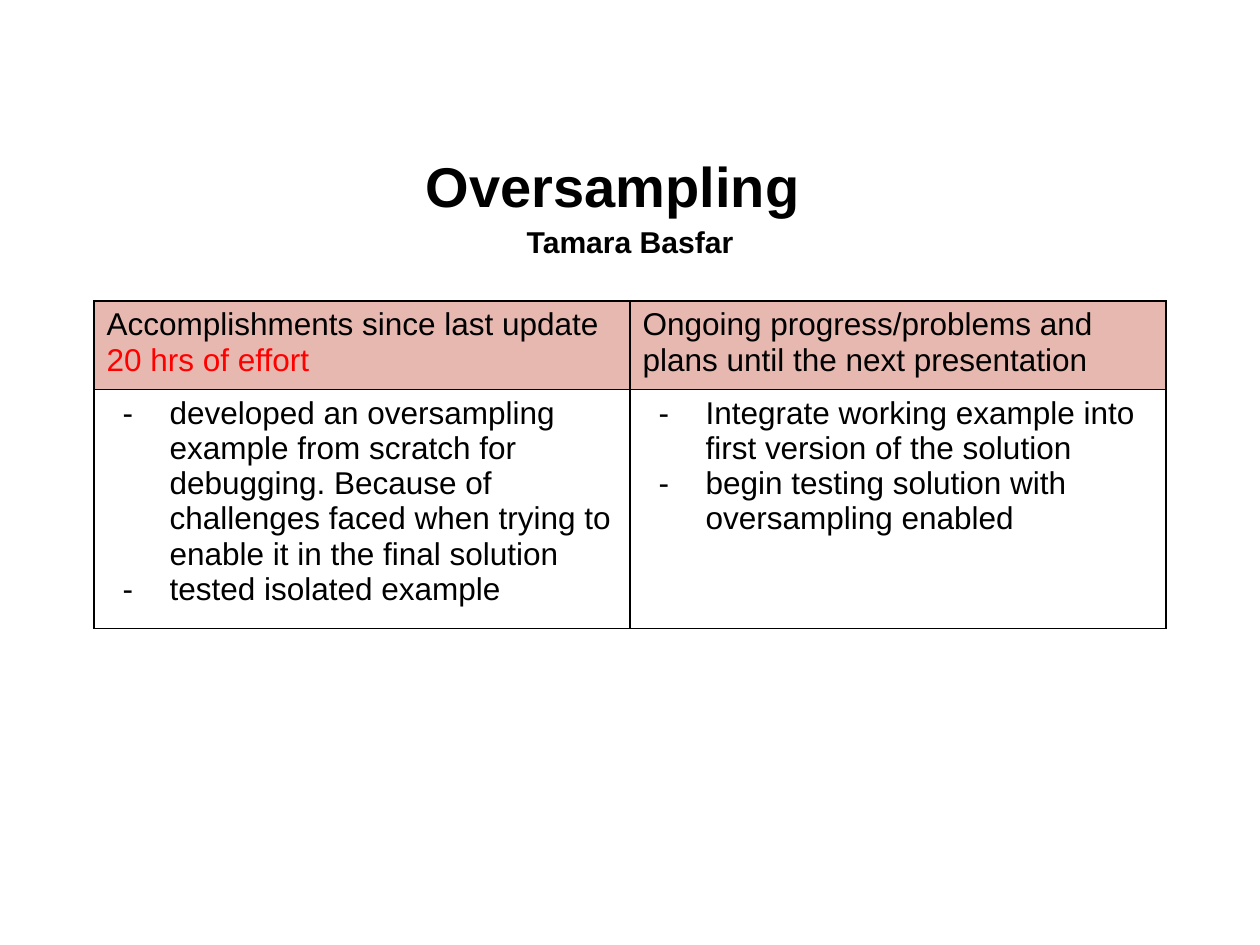
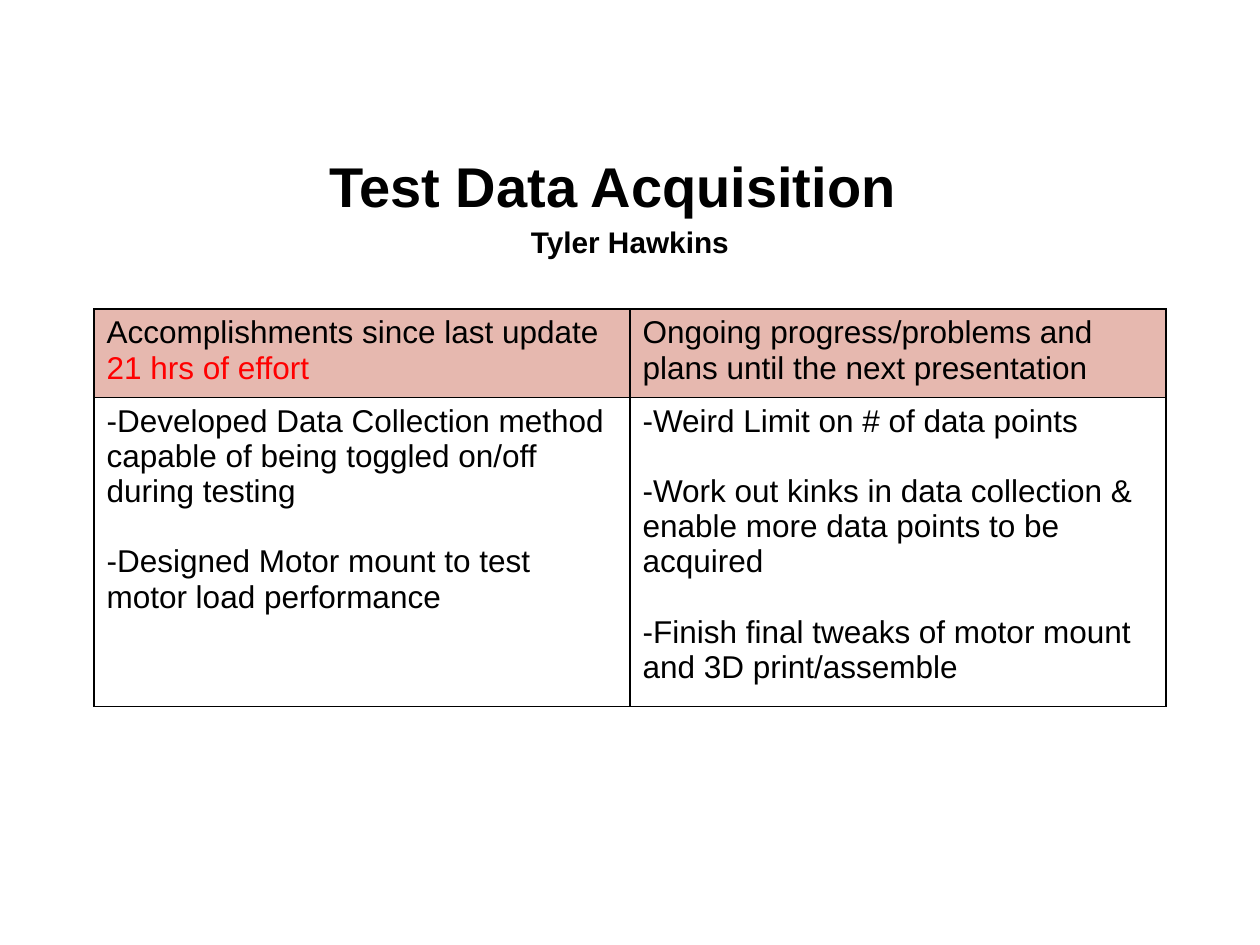
from lxml.etree import SubElement
from pptx import Presentation
from pptx.dml.color import RGBColor
from pptx.enum.text import MSO_ANCHOR, PP_ALIGN
from pptx.oxml.ns import qn
from pptx.util import Pt

SCALE = 914400 / 126  # EMU per px
FONT = "Arial"
BLACK = RGBColor(0x00, 0x00, 0x00)
RED = RGBColor(0xFF, 0x00, 0x00)
PINK = RGBColor(0xE6, 0xB8, 0xAF)

COL_W, ROW_HEIGHTS = 536, (88, 239)
TITLE_SHIFT = 17  # title sits this far left of the slide centre
LINE_GAP = Pt(20)


def px(n):
    return round(n * SCALE)


def add_run(p, text, size, color=BLACK, bold=False):
    r = p.add_run()
    r.text = text
    r.font.name, r.font.size, r.font.bold = FONT, Pt(size), bold
    r.font.color.rgb = color


# Content of the update slides
updates = [
    dict(title="Oversampling", author="Tamara Basfar", author_size=17.2,
         hours="20 hrs of effort", table_top=301, dashes=True,
         done=["developed an oversampling example from scratch for debugging. "
               "Because of challenges faced when trying to enable it in the "
               "final solution",
               "tested isolated example"],
         plans=["Integrate working example into first version of the solution",
                "begin testing solution with oversampling enabled"]),
    dict(title="Test Data Acquisition", author="Tyler Hawkins", author_size=17,
         hours="21 hrs of effort", table_top=309, dashes=False,
         done=["-Developed Data Collection method capable of being toggled "
               "on/off during testing",
               "-Designed Motor mount to test motor load performance"],
         plans=["-Weird Limit on # of data points",
                "-Work out kinks in data collection & enable more data points "
                "to be acquired",
                "-Finish final tweaks of motor mount and 3D print/assemble"]),
]

prs = Presentation()
prs.slide_width, prs.slide_height = px(1260), px(945)

for update in updates:
    s = prs.slides.add_slide(prs.slide_layouts[6])

    # Title and author
    tf = s.shapes.add_textbox(px(63 - TITLE_SHIFT), px(145), px(1134), px(111)).text_frame
    tf.word_wrap = True
    tf.vertical_anchor = MSO_ANCHOR.MIDDLE
    title, author = tf.paragraphs[0], tf.add_paragraph()
    for p in (title, author):
        p.alignment = PP_ALIGN.CENTER
        p.line_spacing = 1.15
    add_run(title, update["title"], 32, bold=True)
    add_run(author, update["author"], update["author_size"], bold=True)
    # The left margin brings the author back to the slide centre
    author._p.get_or_add_pPr().set("marL", str(px(2 * TITLE_SHIFT)))

    # Table grid
    table = s.shapes.add_table(2, 2, px(94), px(update["table_top"]),
                               px(2 * COL_W), px(sum(ROW_HEIGHTS))).table
    table.first_row = table.horz_banding = False
    for col in table.columns:
        col.width = px(COL_W)
    for row, height in zip(table.rows, ROW_HEIGHTS):
        row.height = px(height)

    # Cell borders
    for cell in table.iter_cells():
        tcPr = cell._tc.get_or_add_tcPr()
        for side in ("lnL", "lnR", "lnT", "lnB"):
            ln = SubElement(tcPr, qn(f"a:{side}"), w=str(Pt(1)))
            SubElement(SubElement(ln, qn("a:solidFill")), qn("a:srgbClr"), val=str(BLACK))

    # Header row
    headers = [
        [("Accomplishments since last update ", BLACK), (update["hours"], RED)],
        [("Ongoing progress/problems and plans until the next presentation", BLACK)],
    ]
    for c, runs in enumerate(headers):
        cell = table.cell(0, c)
        cell.fill.solid()
        cell.fill.fore_color.rgb = PINK
        for text, color in runs:
            add_run(cell.text_frame.paragraphs[0], text, 18, color)

    # Body row
    for c, items in enumerate((update["done"], update["plans"])):
        cell = table.cell(1, c)
        cell.fill.background()
        tf = cell.text_frame
        for i, item in enumerate(items):
            p = tf.add_paragraph() if i else tf.paragraphs[0]
            if update["dashes"]:
                pPr = p._p.get_or_add_pPr()
                pPr.set("marL", str(px(63)))
                pPr.set("indent", str(px(-47)))
                SubElement(SubElement(pPr, qn("a:buClr")), qn("a:srgbClr"), val=str(BLACK))
                SubElement(pPr, qn("a:buFont"), typeface=FONT)
                SubElement(pPr, qn("a:buChar"), char="-")
            elif i:
                p.space_before = LINE_GAP
            add_run(p, item, 18)

prs.save("out.pptx")
